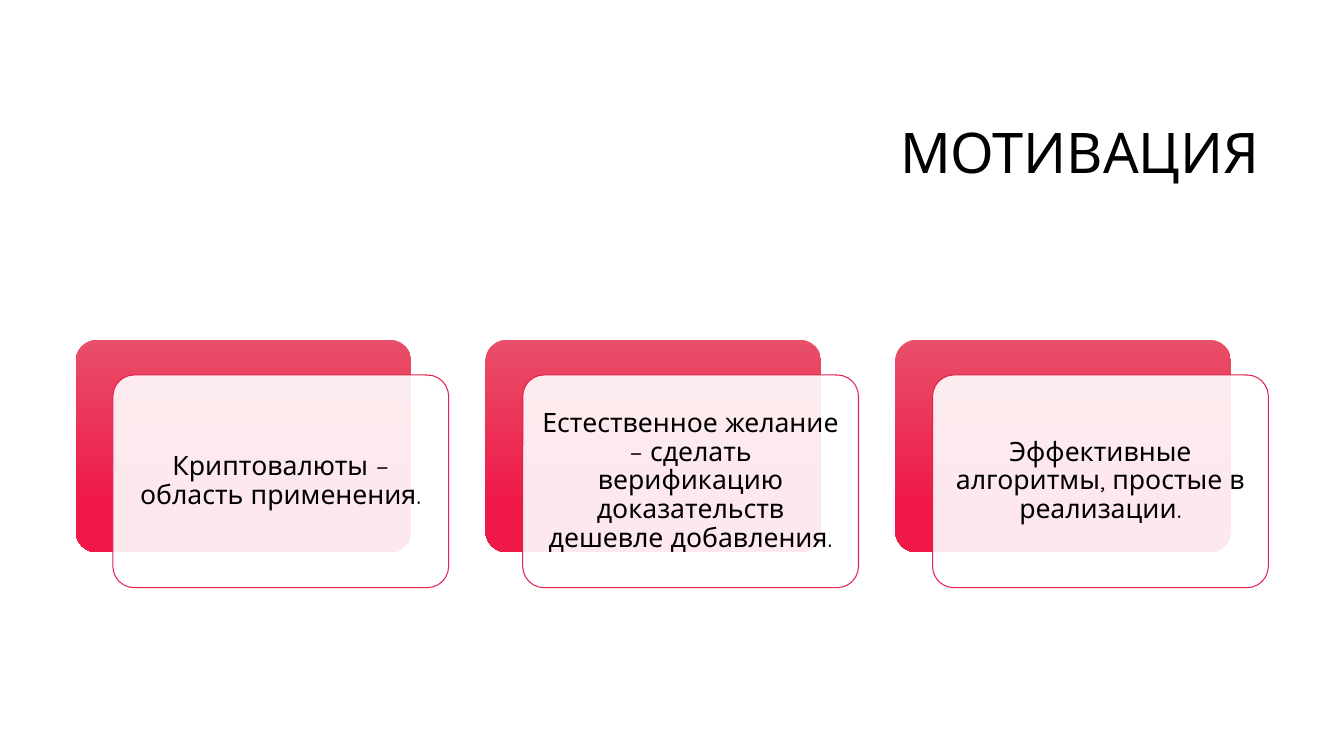
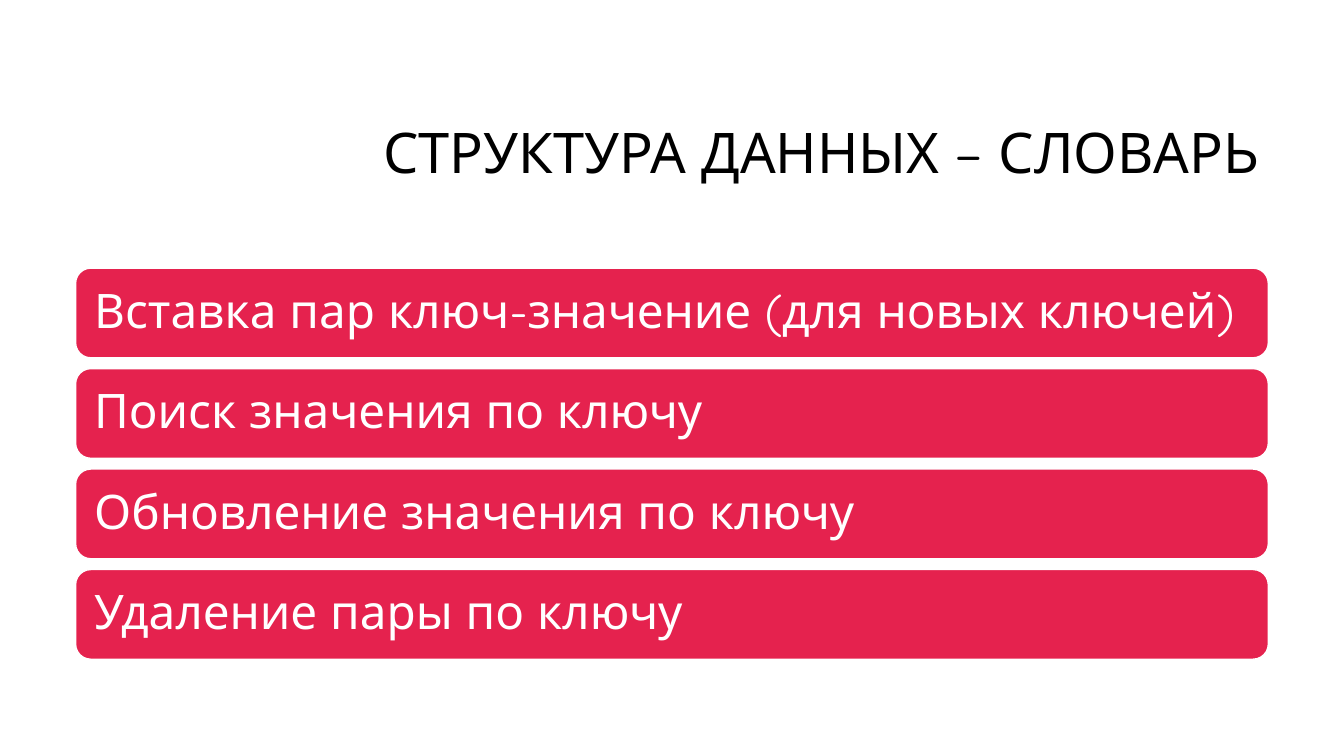
import dataclasses

import lxml.etree
import pptx
import pptx.dml.color
import pptx.enum.shapes
import pptx.enum.text
import pptx.oxml.ns
import pptx.util

FONT = "Quicksand"
RED = "E5224E"
WHITE = "FFFFFF"
BLACK = "000000"
LEFT, SPAN = 0.75, 11.83
ALIGN = pptx.enum.text.PP_ALIGN
Inches = pptx.util.Inches


@dataclasses.dataclass(frozen=True)
class Box:
    left: float
    top: float
    width: float
    height: float

    def move(self, right: float = 0, down: float = 0) -> "Box":
        return dataclasses.replace(self, left=self.left + right, top=self.top + down)

    def sides(self) -> list:
        return [Inches(side) for side in dataclasses.astuple(self)]


@dataclasses.dataclass(frozen=True)
class Style:
    size: float
    color: str
    align: int
    inset: float


HEAD = Style(40, BLACK, ALIGN.RIGHT, 0.1)
NOTE = Style(19, BLACK, ALIGN.CENTER, 0.08)
ITEM = Style(34, WHITE, ALIGN.LEFT, 0.14)

TITLE = Box(3.17, 0.84, 9.42, 1.41)
CARD = Box(LEFT, 3.37, 3.33, 2.11)
SHIFT, DROP = 0.37, 0.35
BAR = Box(LEFT, 2.66, SPAN, 0.89)
STACK = 3.88

CARDS = [
    "Криптовалюты – область применения.",
    "Естественное желание – сделать верификацию доказательств дешевле добавления.",
    "Эффективные алгоритмы, простые в реализации.",
]
BARS = [
    "Вставка пар ключ-значение (для новых ключей)",
    "Поиск значения по ключу",
    "Обновление значения по ключу",
    "Удаление пары по ключу",
]


def color(code: str) -> pptx.dml.color.RGBColor:
    return pptx.dml.color.RGBColor.from_string(code)


def pitch(span: float, size: float, count: int) -> float:
    return (span - size) / (count - 1)


def write(shape, text: str, style: Style) -> None:
    frame = shape.text_frame
    frame.text = text
    frame.word_wrap = True
    frame.auto_size = pptx.enum.text.MSO_AUTO_SIZE.NONE
    frame.vertical_anchor = pptx.enum.text.MSO_ANCHOR.MIDDLE
    frame.margin_left = frame.margin_right = Inches(style.inset)
    frame.margin_top = frame.margin_bottom = Inches(min(style.inset, 0.08))
    line = frame.paragraphs[0]
    line.alignment = style.align
    line.line_spacing = 0.9
    line.font.name = FONT
    line.font.size = pptx.util.Pt(style.size)
    line.font.color.rgb = color(style.color)


def start(deck, title: str):
    slide = deck.slides.add_slide(deck.slide_layouts[5])
    head = slide.shapes.title
    head.left, head.top, head.width, head.height = TITLE.sides()
    write(head, title, HEAD)
    return slide


def panel(group, box: Box, bend: float):
    kind = pptx.enum.shapes.MSO_SHAPE.ROUNDED_RECTANGLE
    shape = group.shapes.add_shape(kind, *box.sides())
    shape.adjustments[0] = bend
    shape.shadow.inherit = False
    return shape


def paint(shape, fill: str, edge: str, width: float) -> None:
    shape.fill.solid()
    shape.fill.fore_color.rgb = color(fill)
    shape.line.color.rgb = color(edge)
    shape.line.width = pptx.util.Pt(width)


def blend(shape) -> None:
    shape.fill.gradient()
    shape.fill.gradient_angle = 270
    tones = [("E84F68", 0), ("EF1849", 0.78)]
    for stop, (code, place) in zip(shape.fill.gradient_stops, tones):
        stop.color.rgb = color(code)
        stop.position = place
    shape.line.fill.background()


def fade(shape, share: float) -> None:
    tone = shape.element.spPr.xpath("a:solidFill/a:srgbClr")[0]
    alpha = lxml.etree.SubElement(tone, pptx.oxml.ns.qn("a:alpha"))
    alpha.set("val", str(round(share * 100000)))


def card(group, box: Box, text: str) -> None:
    blend(panel(group, box, 0.1))
    front = panel(group, box.move(SHIFT, DROP), 0.1)
    paint(front, WHITE, RED, 0.75)
    fade(front, 0.9)
    write(front, text, NOTE)


def bar(group, box: Box, text: str) -> None:
    shape = panel(group, box, 0.17)
    paint(shape, RED, WHITE, 1)
    write(shape, text, ITEM)


def main() -> None:
    deck = pptx.Presentation()
    deck.slide_width = Inches(13.33)
    deck.slide_height = Inches(7.5)

    group = start(deck, "МОТИВАЦИЯ").shapes.add_group_shape()
    step = pitch(SPAN, CARD.width + SHIFT, len(CARDS))
    for col, text in enumerate(CARDS):
        card(group, CARD.move(right=col * step), text)

    group = start(deck, "СТРУКТУРА ДАННЫХ – СЛОВАРЬ").shapes.add_group_shape()
    step = pitch(STACK, BAR.height, len(BARS))
    for row, text in enumerate(BARS):
        bar(group, BAR.move(down=row * step), text)

    deck.save("out.pptx")


if __name__ == "__main__":
    main()
